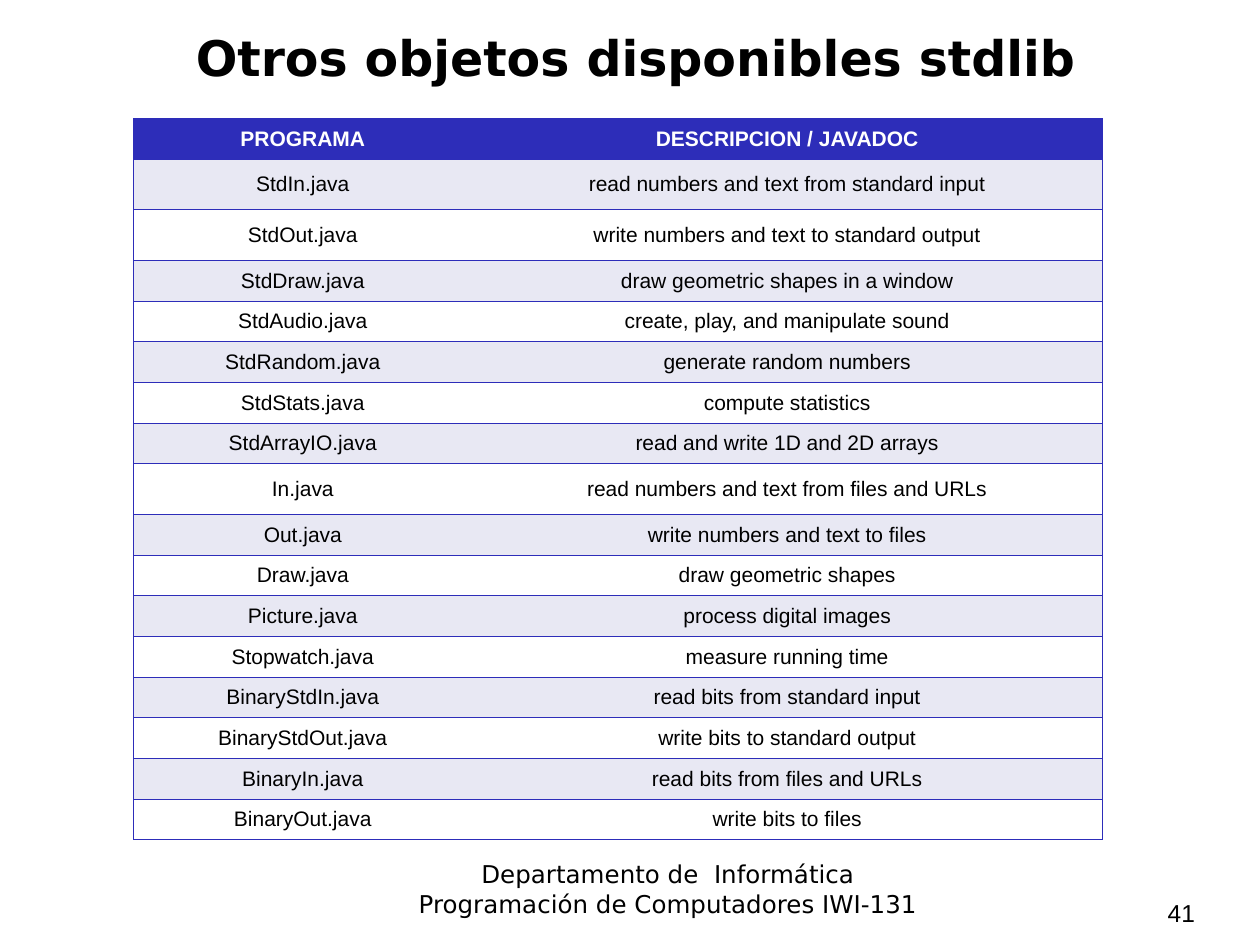
"""Build the slide that lists the stdlib objects."""
from lxml import etree
from pptx import Presentation
from pptx.dml.color import RGBColor
from pptx.enum.text import MSO_ANCHOR, PP_ALIGN
from pptx.oxml.ns import qn
from pptx.util import Cm, Pt

LEFT, MID = PP_ALIGN.LEFT, PP_ALIGN.CENTER
TOP, CENTER = MSO_ANCHOR.TOP, MSO_ANCHOR.MIDDLE
BLUE, BAND, WHITE, BLACK = "2D2DB9", "E8E8F3", "FFFFFF", "000000"
SANS, ARIAL = "DejaVu Sans", "Arial"

TITLE = "Otros objetos disponibles stdlib"
FOOTER = ["Departamento de  Informática", "Programación de Computadores IWI-131"]
PAGE = "41"
ROWS = [
    ("PROGRAMA", "DESCRIPCION / JAVADOC"),
    ("StdIn.java", "read numbers and text from standard input"),
    ("StdOut.java", "write numbers and text to standard output"),
    ("StdDraw.java", "draw geometric shapes in a window"),
    ("StdAudio.java", "create, play, and manipulate sound"),
    ("StdRandom.java", "generate random numbers"),
    ("StdStats.java", "compute statistics"),
    ("StdArrayIO.java", "read and write 1D and 2D arrays"),
    ("In.java", "read numbers and text from files and URLs"),
    ("Out.java", "write numbers and text to files"),
    ("Draw.java", "draw geometric shapes"),
    ("Picture.java", "process digital images"),
    ("Stopwatch.java", "measure running time"),
    ("BinaryStdIn.java", "read bits from standard input"),
    ("BinaryStdOut.java", "write bits to standard output"),
    ("BinaryIn.java", "read bits from files and URLs"),
    ("BinaryOut.java", "write bits to files"),
]
TALL = {"StdIn.java", "StdOut.java", "In.java"}
WIDTHS = [6.83, 12.7]


def color(code):
    return RGBColor.from_string(code)


def write(frame, lines, size=14, face=ARIAL, tint=BLACK, bold=False,
          align=MID, anchor=TOP):
    frame.word_wrap = True
    frame.vertical_anchor = anchor
    for i, line in enumerate(lines):
        para = frame.paragraphs[0] if i == 0 else frame.add_paragraph()
        para.alignment = align
        run = para.add_run()
        run.text = line
        font = run.font
        font.size, font.name, font.bold = Pt(size), face, bold
        font.color.rgb = color(tint)


def add_box(slide, lines, left, top, width, height, **style):
    box = slide.shapes.add_textbox(Cm(left), Cm(top), Cm(width), Cm(height))
    write(box.text_frame, lines, **style)


def edge(cell, sides):
    props = cell._tc.get_or_add_tcPr()
    for side in "LRTB":
        line = etree.SubElement(props, qn("a:ln" + side), w=str(Pt(0.45)))
        if side in sides:
            fill = etree.SubElement(line, qn("a:solidFill"))
            etree.SubElement(fill, qn("a:srgbClr"), val=BLUE)
        else:
            etree.SubElement(line, qn("a:noFill"))


def add_grid(slide):
    highs = [1.02 if name in TALL else 0.82 for name, _ in ROWS]
    grid = slide.shapes.add_table(
        len(ROWS), len(WIDTHS), Cm(2.69), Cm(2.39),
        Cm(sum(WIDTHS)), Cm(sum(highs))).table
    for col, width in zip(grid.columns, WIDTHS):
        col.width = Cm(width)
    for r, (row, high) in enumerate(zip(ROWS, highs)):
        grid.rows[r].height = Cm(high)
        head = r == 0
        back = BLUE if head else BAND if r % 2 else WHITE
        for c, text in enumerate(row):
            cell = grid.cell(r, c)
            edge(cell, "LTB" if c == 0 else "RTB")
            cell.fill.solid()
            cell.fill.fore_color.rgb = color(back)
            cell.vertical_anchor = CENTER
            write(cell.text_frame, [text], size=12, bold=head, anchor=CENTER,
                  tint=WHITE if head else BLACK)


def main():
    deck = Presentation()
    deck.slide_width, deck.slide_height = Cm(25.4), Cm(19.05)
    slide = deck.slides.add_slide(deck.slide_layouts[6])
    add_box(slide, FOOTER, 6.48, 17.2, 13.97, 1.45, face=SANS)
    add_box(slide, [TITLE], 3.7, 0.2, 21.2, 1.9, size=28, face=SANS,
            bold=True, align=LEFT, anchor=CENTER)
    add_grid(slide)
    add_box(slide, [PAGE], 22.23, 17.98, 3.17, 0.84)
    deck.save("out.pptx")


if __name__ == "__main__":
    main()
